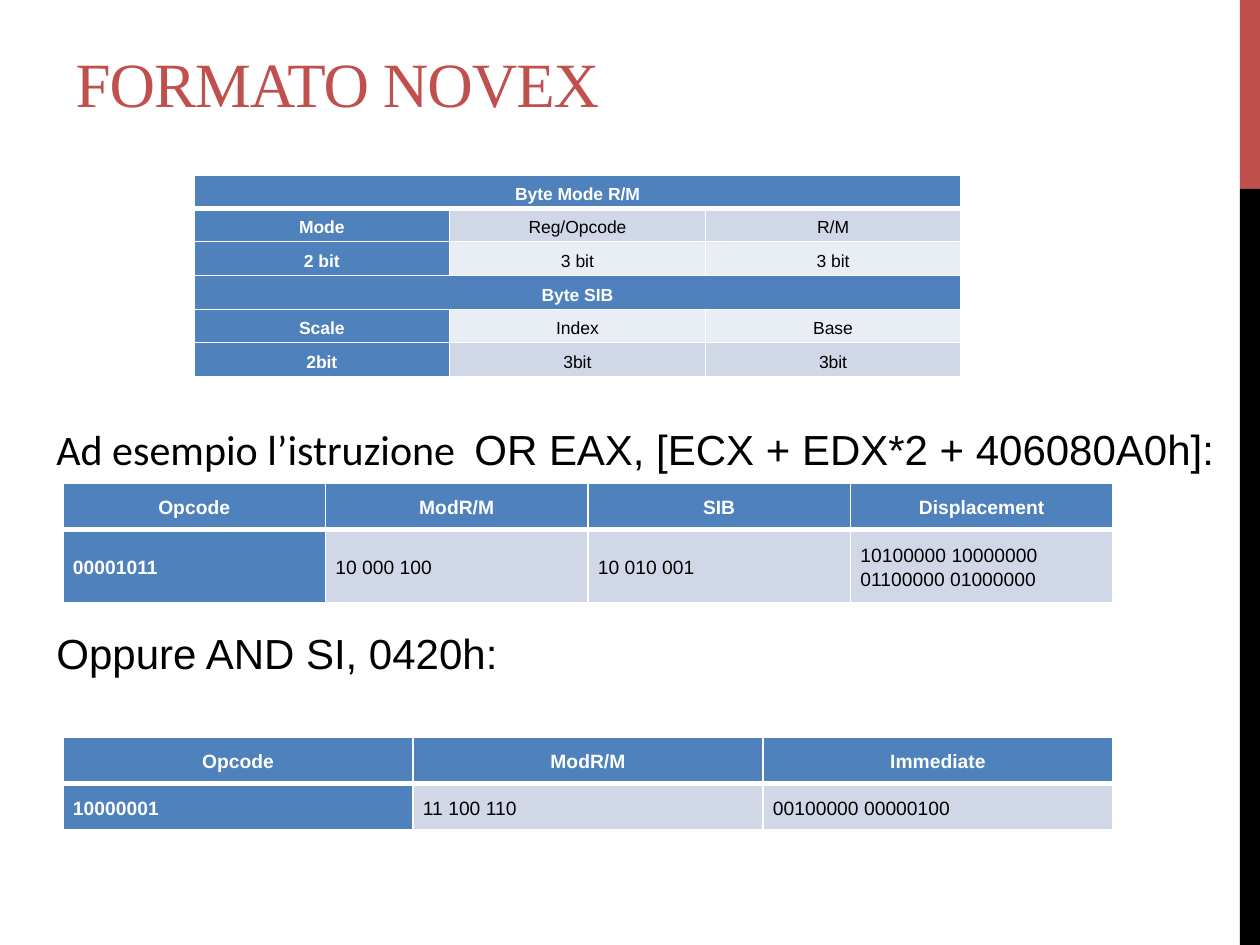
from lxml import etree
from pptx import Presentation
from pptx.dml.color import RGBColor
from pptx.enum.shapes import MSO_SHAPE
from pptx.enum.text import MSO_ANCHOR, MSO_AUTO_SIZE, PP_ALIGN
from pptx.oxml.ns import qn
from pptx.util import Pt

PX = 914400 // 126
RECTANGLE = MSO_SHAPE.RECTANGLE
MIDDLE, BOTTOM = MSO_ANCHOR.MIDDLE, MSO_ANCHOR.BOTTOM
LEFT, CENTER = PP_ALIGN.LEFT, PP_ALIGN.CENTER
NO_AUTOFIT = MSO_AUTO_SIZE.NONE

COLORS = {
    "red": "C0504D",
    "black": "000000",
    "white": "FFFFFF",
    "header": "4F81BD",
    "dark": "D0D8E8",
    "light": "E9EDF4",
}


def format_run(run, font_name, size, color, bold=False):
    run.font.name = font_name
    run.font.size = Pt(size)
    run.font.bold = bold
    run.font.color.rgb = RGBColor.from_string(COLORS[color])


def set_borders(cell, top, bottom):
    properties = cell._tc.get_or_add_tcPr()
    widths = {"a:lnL": 1, "a:lnR": 1, "a:lnT": top, "a:lnB": bottom}
    for index, (tag, width) in enumerate(widths.items()):
        line = etree.Element(qn(tag), w=str(Pt(width)))
        fill = etree.SubElement(line, qn("a:solidFill"))
        etree.SubElement(fill, qn("a:srgbClr"), val=COLORS["white"])
        properties.insert(index, line)


presentation = Presentation()
presentation.slide_width = 1260 * PX
presentation.slide_height = 945 * PX
slide = presentation.slides.add_slide(presentation.slide_layouts[5])

for top, height, color in [(0, 189, "red"), (189, 756, "black")]:
    bar = slide.shapes.add_shape(RECTANGLE, 1240 * PX, top * PX, 20 * PX, height * PX)
    bar.shadow.inherit = False
    bar.fill.solid()
    bar.fill.fore_color.rgb = RGBColor.from_string(COLORS[color])
    bar.line.fill.background()

examples = slide.shapes.add_textbox(44 * PX, 417 * PX, 1194 * PX, 267 * PX)
examples.text_frame.word_wrap = False
examples.text_frame.vertical_anchor = MIDDLE
paragraph = examples.text_frame.paragraphs[0]
for text, font_name in [
    ("Ad esempio l’istruzione  ", "Calibri"),
    ("OR EAX, [ECX + EDX*2 + 406080A0h]:", "Arial"),
]:
    run = paragraph.add_run()
    run.text = text
    format_run(run, font_name, 24, "black")
paragraph = examples.text_frame.add_paragraph()
paragraph.text = "Oppure AND SI, 0420h:"
paragraph.space_before = Pt(88)
format_run(paragraph.runs[0], "Arial", 24, "black")

title = slide.shapes.title
title.left, title.top, title.width, title.height = 63 * PX, 21 * PX, 797 * PX, 105 * PX
title.text_frame.text = "FORMATO NOVEX"
title.text_frame.vertical_anchor = BOTTOM
title.text_frame.auto_size = NO_AUTOFIT
title.text_frame.paragraphs[0].alignment = LEFT
title_run = title.text_frame.paragraphs[0].runs[0]
format_run(title_run, "Times New Roman", 36, "red")
title_run.font._element.set("spc", "-60")

format_tables = [
    {
        "box": (194, 175, 767),
        "heights": [33, 33, 34, 34, 33, 34],
        "bands": ["header", "dark", "light", "header", "light", "dark"],
        "size": 10, "inset": 4, "line": Pt(14.4), "before": 12, "body": CENTER,
        "rows": [
            ["Byte Mode R/M"],
            ["Mode", "Reg/Opcode", "R/M"],
            ["2 bit", "3 bit", "3 bit"],
            ["Byte SIB"],
            ["Scale", "Index", "Base"],
            ["2bit", "3bit", "3bit"],
        ],
    },
    {
        "box": (63, 483, 1050),
        "heights": [45, 70],
        "bands": ["header", "dark"],
        "size": 11, "inset": 10, "line": 1.15, "before": 6, "body": LEFT,
        "rows": [
            ["Opcode", "ModR/M", "SIB", "Displacement"],
            ["00001011", "10 000 100", "10 010 001", "10100000 10000000 01100000 01000000"],
        ],
    },
    {
        "box": (63, 737, 1050),
        "heights": [46, 46],
        "bands": ["header", "dark"],
        "size": 11, "inset": 10, "line": 1.15, "before": 6, "body": LEFT,
        "rows": [
            ["Opcode", "ModR/M", "Immediate"],
            ["10000001", "11 100 110", "00100000 00000100"],
        ],
    },
]

for data in format_tables:
    left, top, width = data["box"]
    rows, heights = data["rows"], data["heights"]
    column_count = max(len(row) for row in rows)
    table = slide.shapes.add_table(
        len(rows), column_count, left * PX, top * PX, width * PX, sum(heights) * PX
    ).table
    for row_index, texts in enumerate(rows):
        table.rows[row_index].height = heights[row_index] * PX
        if len(texts) == 1:
            table.cell(row_index, 0).merge(table.cell(row_index, column_count - 1))
        for column_index in range(column_count):
            cell = table.cell(row_index, column_index)
            band = "header" if column_index == 0 else data["bands"][row_index]
            cell.fill.solid()
            cell.fill.fore_color.rgb = RGBColor.from_string(COLORS[band])
            set_borders(cell, 3 if row_index == 1 else 1, 3 if row_index == 0 else 1)
            if column_index >= len(texts):
                continue
            cell.vertical_anchor = MIDDLE
            cell.margin_left = cell.margin_right = data["inset"] * PX
            cell.margin_top = cell.margin_bottom = data["inset"] * PX
            cell.text_frame.text = texts[column_index]
            paragraph = cell.text_frame.paragraphs[0]
            paragraph.alignment = CENTER if row_index == 0 else data["body"]
            paragraph.line_spacing = data["line"]
            paragraph.space_before = Pt(data["before"])
            paragraph.space_after = Pt(12)
            is_header = band == "header"
            color = "white" if is_header else "black"
            format_run(paragraph.runs[0], "Arial", data["size"], color, is_header)

presentation.save("out.pptx")
